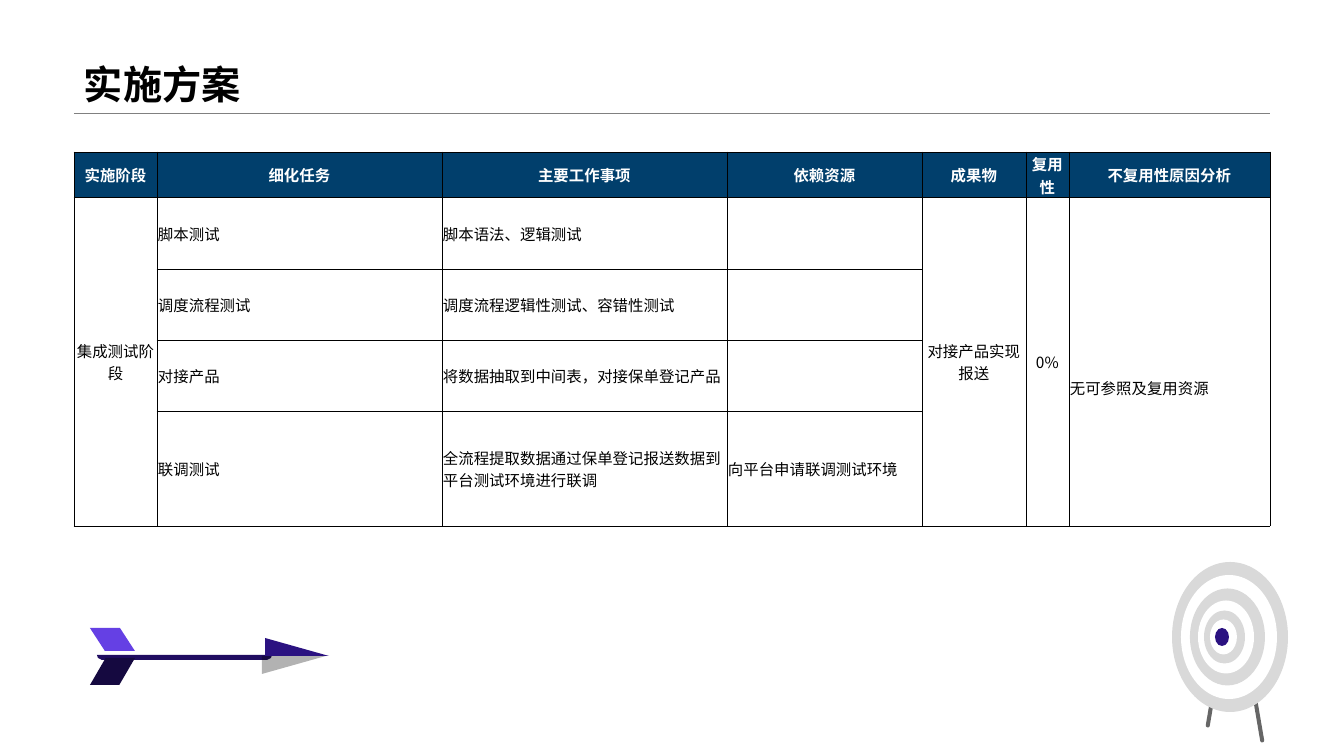
from lxml import etree
from pptx import Presentation, util as u
from pptx.dml.color import RGBColor
from pptx.enum import shapes, text
from pptx.oxml import ns

PX = 914400 / 100.8
BLACK = RGBColor(0x00, 0x00, 0x00)
WHITE = RGBColor(0xFF, 0xFF, 0xFF)
RULE_GREY = RGBColor(0x80, 0x80, 0x80)
LEG_GREY = RGBColor(0x66, 0x66, 0x66)
RING_GREY = RGBColor(0xD9, 0xD9, 0xD9)
HEADER_BLUE = RGBColor(0x01, 0x3F, 0x6C)
INDIGO = RGBColor(0x2B, 0x12, 0x81)
SHAFT_INDIGO = RGBColor(0x20, 0x0D, 0x61)
DARK_INDIGO = RGBColor(0x15, 0x09, 0x40)
VIOLET = RGBColor(0x65, 0x40, 0xE4)

CJK_FONT = "Noto Sans CJK SC"
PRESET = shapes.MSO_SHAPE
MIDDLE = text.MSO_ANCHOR.MIDDLE

HEADERS = ["实施阶段", "细化任务", "主要工作事项", "依赖资源", "成果物", "复用性", "不复用性原因分析"]
TASKS = [
    ["脚本测试", "脚本语法、逻辑测试", ""],
    ["调度流程测试", "调度流程逻辑性测试、容错性测试", ""],
    ["对接产品", "将数据抽取到中间表，对接保单登记产品", ""],
    ["联调测试", "全流程提取数据通过保单登记报送数据到平台测试环境进行联调", "向平台申请联调测试环境"],
]
SPANNING = {0: "集成测试阶段", 4: "对接产品实现报送", 5: "0%", 6: "无可参照及复用资源"}
COLUMN_WIDTHS = [83, 285, 285, 195, 104, 43, 201]
ROW_HEIGHTS = [45, 72, 71, 71, 115]
REASON_COLUMN = 6
REASON_DROP = 53


def px(length):
    return u.Emu(round(length * PX))


def add_run(paragraph, words, size, color, bold=False, latin=CJK_FONT):
    run = paragraph.add_run()
    run.text = words
    run.font.size = u.Pt(size)
    run.font.bold = bold
    run.font.color.rgb = color
    run.font.name = latin
    east_asian = etree.SubElement(run.font._element, ns.qn("a:ea"))
    east_asian.set("typeface", CJK_FONT)


def paint(shape, color):
    shape.shadow.inherit = False
    shape.fill.solid()
    shape.fill.fore_color.rgb = color
    shape.line.fill.background()
    return shape


def add_part(slide, preset, box, color, adjust=None, flip=None):
    part = slide.shapes.add_shape(preset, *map(px, box))
    if adjust is not None:
        part.adjustments[0] = adjust
    if flip:
        part._element.spPr.find(ns.qn("a:xfrm")).set(flip, "1")
    return paint(part, color)


def add_title(slide, left, top, width, height):
    """Title standing on a thin rule along the bottom of the box."""
    rule = slide.shapes.add_connector(
        shapes.MSO_CONNECTOR.STRAIGHT,
        px(left), px(top + height), px(left + width), px(top + height))
    rule.line.color.rgb = RULE_GREY
    rule.line.width = u.Pt(0.25)
    etree.SubElement(rule._element.spPr, ns.qn("a:effectLst"))

    title = slide.shapes.add_textbox(px(left), px(top), px(width), px(height))
    frame = title.text_frame
    frame.word_wrap = True
    frame.vertical_anchor = text.MSO_ANCHOR.BOTTOM
    paragraph = frame.paragraphs[0]
    paragraph.line_spacing = 0.9
    add_run(paragraph, "实施方案", 28, BLACK, bold=True, latin="Arial")


def add_borders(cell):
    properties = cell._tc.get_or_add_tcPr()
    for side in ("lnL", "lnR", "lnT", "lnB"):
        border = etree.SubElement(properties, ns.qn(f"a:{side}"), w=str(u.Pt(0.5)))
        fill = etree.SubElement(border, ns.qn("a:solidFill"))
        etree.SubElement(fill, ns.qn("a:srgbClr"), val=str(BLACK))


def fill_cell(cell, words, centred=True, header=False):
    if header:
        cell.fill.solid()
        cell.fill.fore_color.rgb = HEADER_BLUE
    cell.vertical_anchor = MIDDLE
    paragraph = cell.text_frame.paragraphs[0]
    paragraph.alignment = text.PP_ALIGN.CENTER if centred else text.PP_ALIGN.LEFT
    if words:
        add_run(paragraph, words, 11, WHITE if header else BLACK, bold=header)


def add_plan_table(slide, left, top):
    frame = slide.shapes.add_table(
        len(ROW_HEIGHTS), len(COLUMN_WIDTHS), px(left), px(top),
        px(sum(COLUMN_WIDTHS)), px(sum(ROW_HEIGHTS)))
    plan = frame.table
    plan.first_row = plan.horz_banding = False
    for column, width in zip(plan.columns, COLUMN_WIDTHS):
        column.width = px(width)
    for row, height in zip(plan.rows, ROW_HEIGHTS):
        row.height = px(height)
    for cell in plan.iter_cells():
        cell.margin_left = cell.margin_right = cell.margin_top = px(1)
        cell.margin_bottom = 0
        add_borders(cell)
        cell.fill.background()

    for column, heading in enumerate(HEADERS):
        fill_cell(plan.cell(0, column), heading, header=True)
    for row, task in enumerate(TASKS, start=1):
        for column, words in enumerate(task, start=1):
            fill_cell(plan.cell(row, column), words, centred=False)
    for column, words in SPANNING.items():
        cell = plan.cell(1, column)
        cell.merge(plan.cell(len(TASKS), column))
        fill_cell(cell, words, centred=column != REASON_COLUMN)
    plan.cell(1, REASON_COLUMN).margin_top = px(REASON_DROP)


def add_arrow(slide, left, top):
    outline = [(7, 27), (182, 27), (181, 30), (177, 32), (12, 32), (8, 30)]
    points = [(px(left + x), px(top + y)) for x, y in outline]
    builder = slide.shapes.build_freeform(*points[0], scale=1.0)
    builder.add_line_segments(points[1:], close=True)
    paint(builder.convert_to_shape(), SHAFT_INDIGO)

    add_part(slide, PRESET.PARALLELOGRAM, (left, top + 30, 45, 27), DARK_INDIGO, 0.58)
    add_part(slide, PRESET.PARALLELOGRAM, (left, top, 45, 23), VIOLET, 0.65, "flipH")
    shade = add_part(slide, PRESET.RIGHT_TRIANGLE, (left + 172, top + 28, 64, 18),
                     BLACK, flip="flipV")
    shade_color = shade._element.spPr.find(ns.qn("a:solidFill"))[0]
    etree.SubElement(shade_color, ns.qn("a:alpha"), val="30000")
    add_part(slide, PRESET.RIGHT_TRIANGLE, (left + 175, top + 10, 64, 18), INDIGO)


def add_target(slide, left, top, height):
    """Two legs, then rings from the outermost to the bullseye."""
    for x, y, angle in [(40, 88, 9.7), (82, 103, 350.3)]:
        leg = add_part(slide, PRESET.ROUNDED_RECTANGLE,
                       (left + x, top + y, 4, 78), LEG_GREY, 0.5)
        leg.rotation = angle

    rings = [(0, 116, 150), (9, 96, 124), (18, 75, 97), (26, 56, 73), (32, 41, 53), (38, 27, 35)]
    for index, (x, ring_width, ring_height) in enumerate(rings):
        box = (left + x, top + (height - ring_height) / 2, ring_width, ring_height)
        add_part(slide, PRESET.OVAL, box, WHITE if index % 2 else RING_GREY)
    add_part(slide, PRESET.OVAL, (left + 43, top + height / 2 - 9, 14, 18), INDIGO)


def main():
    deck = Presentation()
    deck.slide_width, deck.slide_height = px(1344), px(756)
    slide = deck.slides.add_slide(deck.slide_layouts[6])
    add_title(slide, 74, 0, 1196, 113)
    add_target(slide, 1172, 562, 150)
    add_arrow(slide, 90, 628)
    add_plan_table(slide, 74, 152)
    deck.save("out.pptx")


if __name__ == "__main__":
    main()
